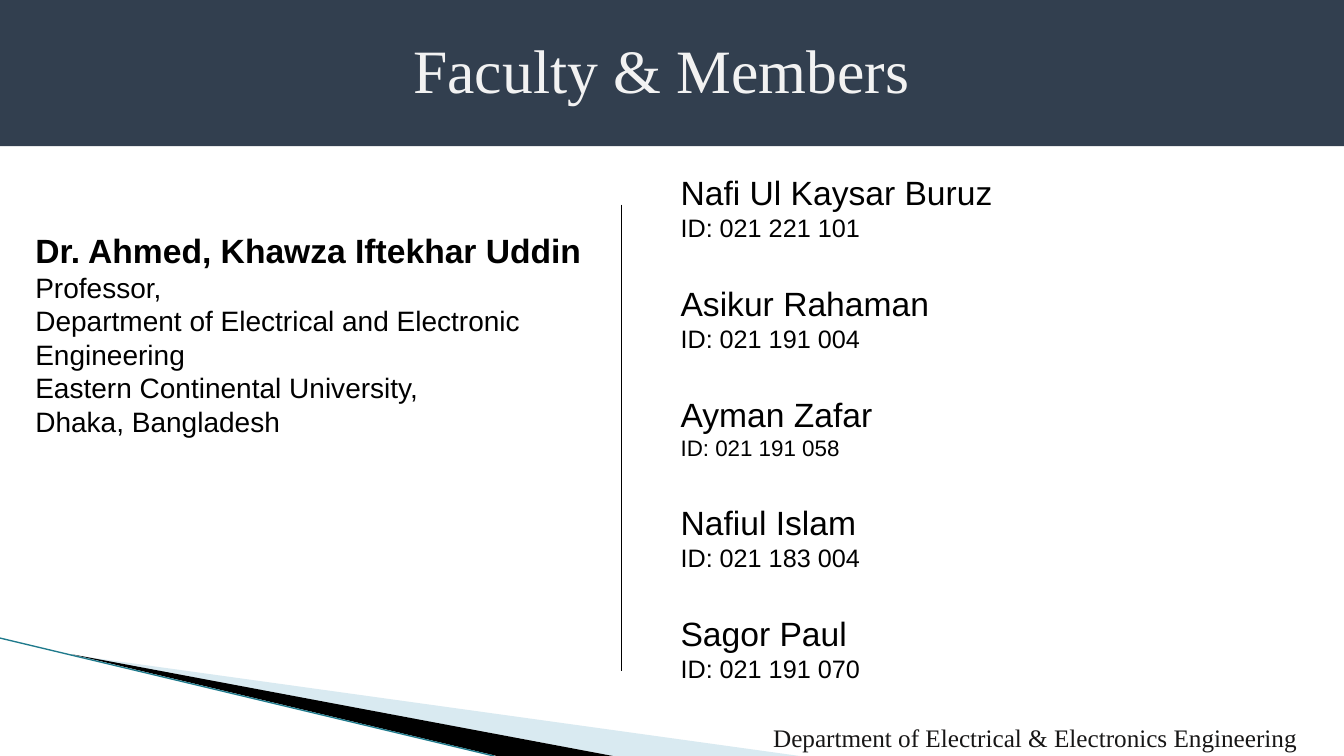
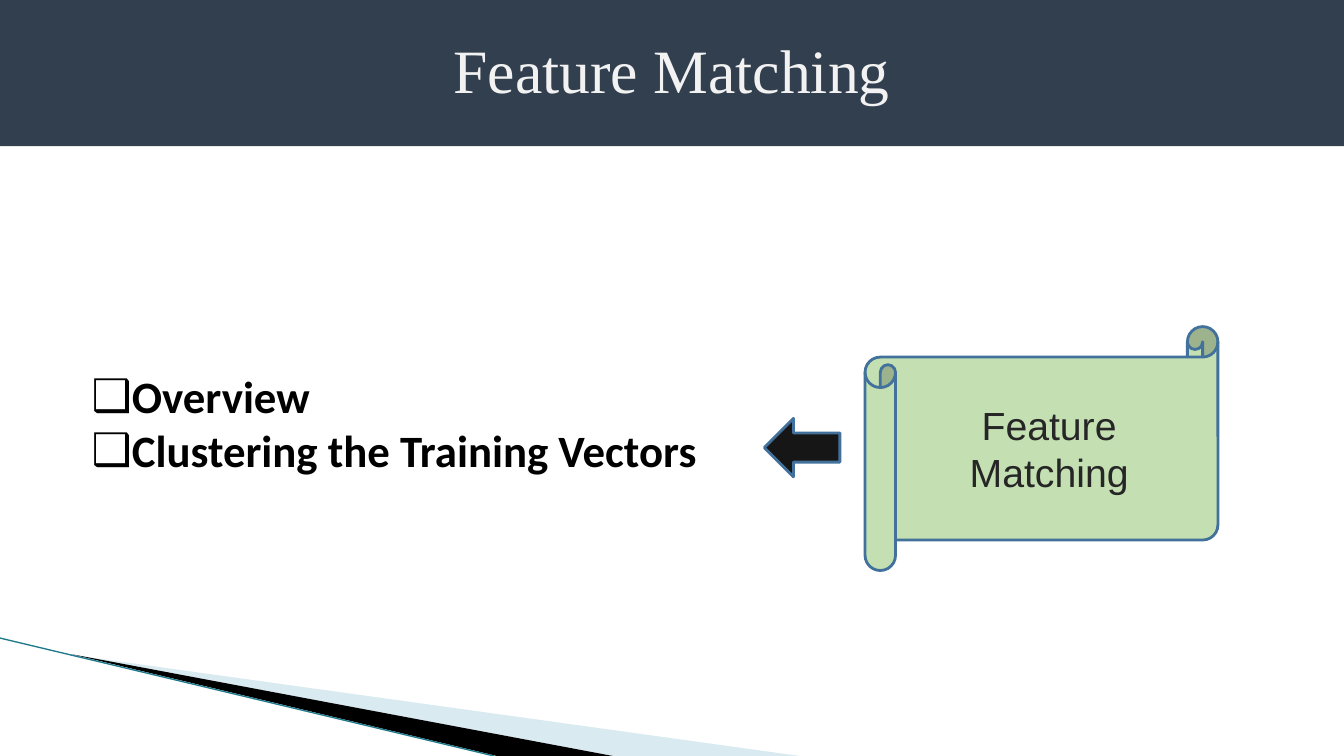
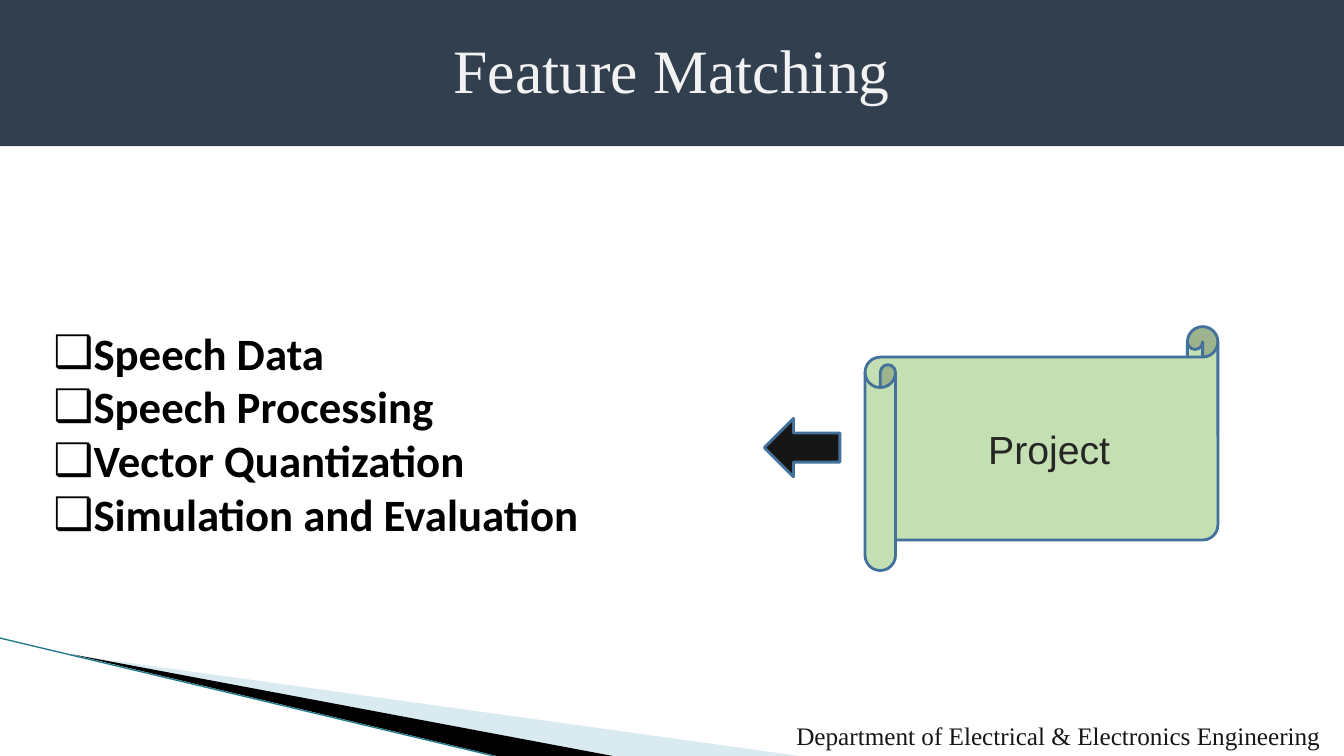
from lxml import etree
from pptx import Presentation
from pptx.dml.color import RGBColor
from pptx.enum.shapes import MSO_CONNECTOR, MSO_SHAPE
from pptx.enum.text import MSO_ANCHOR, MSO_AUTO_SIZE, PP_ALIGN
from pptx.oxml.ns import qn
from pptx.util import Inches, Pt

SCROLL, LEFT_ARROW = MSO_SHAPE.HORIZONTAL_SCROLL, MSO_SHAPE.LEFT_ARROW
STRAIGHT = MSO_CONNECTOR.STRAIGHT
TOP, MIDDLE = MSO_ANCHOR.TOP, MSO_ANCHOR.MIDDLE
LEFT, CENTER, JUSTIFY = PP_ALIGN.LEFT, PP_ALIGN.CENTER, PP_ALIGN.JUSTIFY
FIXED_SIZE = MSO_AUTO_SIZE.NONE

# Shared design
SLIDE_WIDTH, SLIDE_HEIGHT = 13.33, 7.5
TITLE_HEIGHT = 1.45
NAVY, OFF_WHITE, BLACK, INK = "323F4F", "F2F2F2", "000000", "171616"
PALE_BLUE, TEAL = "A0CBDC", "1F7A8C"
SCROLL_GREEN, OUTLINE_BLUE, DARK_GREY = "C4E0B2", "42719B", "262626"
LINE_RATIO = 1.2
BULLET, BULLET_INDENT = "❑", 0.31

TITLE_FORMAT = {"name": "Times New Roman", "size": Pt(44), "bold": False}
FOOTER_FORMAT = {"name": "Times New Roman", "size": Pt(18)}
SCROLL_FORMAT = {"name": "Arial", "size": Pt(28)}
LIST_FORMAT = {"name": "Calibri", "size": Pt(32), "bold": True}

FOOTER_TEXT = "Department of Electrical & Electronics Engineering"
PROFESSOR = "Dr. Ahmed, Khawza Iftekhar Uddin"
POSITION_LINES = [
    "Professor,",
    "Department of Electrical and Electronic",
    "Engineering",
    "Eastern Continental University,",
    "Dhaka, Bangladesh",
]
# Name, ID and size of the ID line
MEMBERS = [
    ("Nafi Ul Kaysar Buruz", "021 221 101", 18),
    ("Asikur Rahaman", "021 191 004", 18),
    ("Ayman Zafar", "021 191 058", 16),
    ("Nafiul Islam", "021 183 004", 18),
    ("Sagor Paul", "021 191 070", 18),
]


# Formatting helpers
def color(hex_value):
    return RGBColor.from_string(hex_value)


def arial(size, bold=False):
    return {"name": "Arial", "size": Pt(size), "bold": bold}


def set_attributes(target, values):
    for name, value in values.items():
        setattr(target, name, value)


def place(shape, left, top, width, height):
    set_attributes(shape, {"left": Inches(left), "top": Inches(top),
                           "width": Inches(width), "height": Inches(height)})


def paint(shape, fill_color):
    shape.fill.solid()
    shape.fill.fore_color.rgb = color(fill_color)


def prepare_frame(shape, anchor):
    frame = shape.text_frame
    set_attributes(frame, {"word_wrap": True, "auto_size": FIXED_SIZE,
                           "vertical_anchor": anchor})
    return frame


def write(paragraph, text, font_format, text_color, **paragraph_format):
    run = paragraph.add_run()
    run.text = text
    set_attributes(run.font, font_format)
    run.font.color.rgb = color(text_color)
    set_attributes(paragraph, paragraph_format)


def set_bullet(paragraph, character=None):
    indent = Inches(BULLET_INDENT) if character else 0
    properties = paragraph._p.get_or_add_pPr()
    properties.set("marL", str(indent))
    properties.set("indent", str(-indent))
    if character:
        bullet_color = etree.SubElement(properties, qn("a:buClr"))
        etree.SubElement(bullet_color, qn("a:srgbClr"), val=BLACK)
        etree.SubElement(properties, qn("a:buFont"), typeface="Arial")
        etree.SubElement(properties, qn("a:buChar"), char=character)
    else:
        etree.SubElement(properties, qn("a:buNone"))


# Element builders
def add_line(slide, start, end, line_color, width):
    connector = slide.shapes.add_connector(
        STRAIGHT, *[Inches(value) for value in (*start, *end)])
    connector.line.color.rgb = color(line_color)
    connector.line.width = Pt(width)
    etree.SubElement(connector.element.spPr, qn("a:effectLst"))
    return connector


def add_wedge(slide, points, fill_color, opacity=None):
    first, *others = [(Inches(x), Inches(y)) for x, y in points]
    builder = slide.shapes.build_freeform(*first)
    builder.add_line_segments(others, close=True)
    wedge = builder.convert_to_shape()
    paint(wedge, fill_color)
    wedge.line.fill.background()
    wedge.shadow.inherit = False
    if opacity:
        fill = wedge.element.spPr.find(qn("a:solidFill"))
        etree.SubElement(fill[0], qn("a:alpha"), val=str(opacity * 1000))
    return wedge


def add_outlined_shape(slide, kind, position, fill_color):
    shape = slide.shapes.add_shape(kind, *[Inches(value) for value in position])
    paint(shape, fill_color)
    shape.line.color.rgb = color(OUTLINE_BLUE)
    shape.line.width = Pt(2)
    shape.shadow.inherit = False
    return shape


def add_titled_slide(presentation, layout_index, text, text_left=None):
    slide = presentation.slides.add_slide(presentation.slide_layouts[layout_index])
    title = slide.shapes.title
    place(title, 0, 0, SLIDE_WIDTH, TITLE_HEIGHT)
    paint(title, NAVY)
    frame = prepare_frame(title, MIDDLE)
    if text_left:
        frame.margin_left = Inches(text_left)
    write(frame.paragraphs[0], text, TITLE_FORMAT, OFF_WHITE,
          alignment=LEFT if text_left else CENTER, line_spacing=0.9)
    return slide


def fill_body(body, position, lines, anchor=TOP, alignment=LEFT, bullet=None):
    """Write lines given as (text, font format, space after in points)."""
    place(body, *position)
    frame = prepare_frame(body, anchor)
    for index, (text, font_format, gap) in enumerate(lines):
        paragraph = frame.add_paragraph() if index else frame.paragraphs[0]
        write(paragraph, text, font_format, BLACK, alignment=alignment,
              line_spacing=Pt(font_format["size"].pt * LINE_RATIO),
              space_before=Pt(0), space_after=Pt(gap))
        set_bullet(paragraph, bullet)


def add_footer(slide, left, top):
    box = slide.shapes.add_textbox(Inches(left), Inches(top), Inches(5.5), Inches(0.38))
    frame = prepare_frame(box, TOP)
    write(frame.paragraphs[0], FOOTER_TEXT, FOOTER_FORMAT, INK)


def add_topic(slide, text):
    scroll = add_outlined_shape(slide, SCROLL, (8.58, 3.24, 3.5, 2.42), SCROLL_GREEN)
    frame = prepare_frame(scroll, MIDDLE)
    write(frame.paragraphs[0], text, SCROLL_FORMAT, DARK_GREY, alignment=CENTER)
    add_outlined_shape(slide, LEFT_ARROW, (7.58, 4.15, 0.75, 0.58), INK)


def decorate_master(presentation, slide):
    """Draw the corner wedges and move them to the master."""
    decorations = [
        add_wedge(slide, [(0.73, 6.5), (7.93, 7.5), (6.08, 7.5)], PALE_BLUE, 40),
        add_wedge(slide, [(0.71, 6.49), (6.08, 7.5), (4.93, 7.5)], BLACK),
        add_line(slide, (0, 6.33), (4.9, 7.5), TEAL, 0.95),
    ]
    master_tree = presentation.slide_master.element.cSld.spTree
    for number, decoration in enumerate(decorations, start=20):
        decoration.element.xpath(".//p:cNvPr")[0].set("id", str(number))
        master_tree.append(decoration.element)


# Slides
def build_members_slide(presentation):
    slide = add_titled_slide(presentation, 3, "Faculty & Members", text_left=4.1)
    decorate_master(presentation, slide)
    add_footer(slide, 7.57, 7.12)
    add_line(slide, (6.16, 2.03), (6.16, 6.66), BLACK, 0.75)

    professor_lines = [(PROFESSOR, arial(24, bold=True), 0)]
    professor_lines += [(line, arial(20), 0) for line in POSITION_LINES]
    fill_body(slide.placeholders[1], (0.25, 2.23, 5.8, 2.19), professor_lines)

    member_lines = []
    for name, number, size in MEMBERS:
        member_lines += [(name, arial(24), 0),
                         (f"ID: {number}", arial(size), 24 * LINE_RATIO)]
    fill_body(slide.placeholders[2], (6.65, 1.66, 6.43, 5.2), member_lines)


def build_topic_slide(presentation, topic, items, left, top):
    slide = add_titled_slide(presentation, 1, "Feature Matching")
    add_topic(slide, topic)
    fill_body(slide.placeholders[1], (left, top, 6.95, 4.03),
              [(item, LIST_FORMAT, 0) for item in items],
              anchor=MIDDLE, alignment=JUSTIFY, bullet=BULLET)
    return slide


def main():
    presentation = Presentation()
    presentation.slide_width = Inches(SLIDE_WIDTH)
    presentation.slide_height = Inches(SLIDE_HEIGHT)

    build_members_slide(presentation)
    build_topic_slide(presentation, "Feature Matching",
                      ["Overview", "Clustering the Training Vectors"], 0.81, 2.18)
    project_slide = build_topic_slide(
        presentation, "Project",
        ["Speech Data", "Speech Processing", "Vector Quantization",
         "Simulation and Evaluation"], 0.43, 2.28)
    add_footer(project_slide, 7.8, 7.1)

    presentation.save("out.pptx")


if __name__ == "__main__":
    main()
